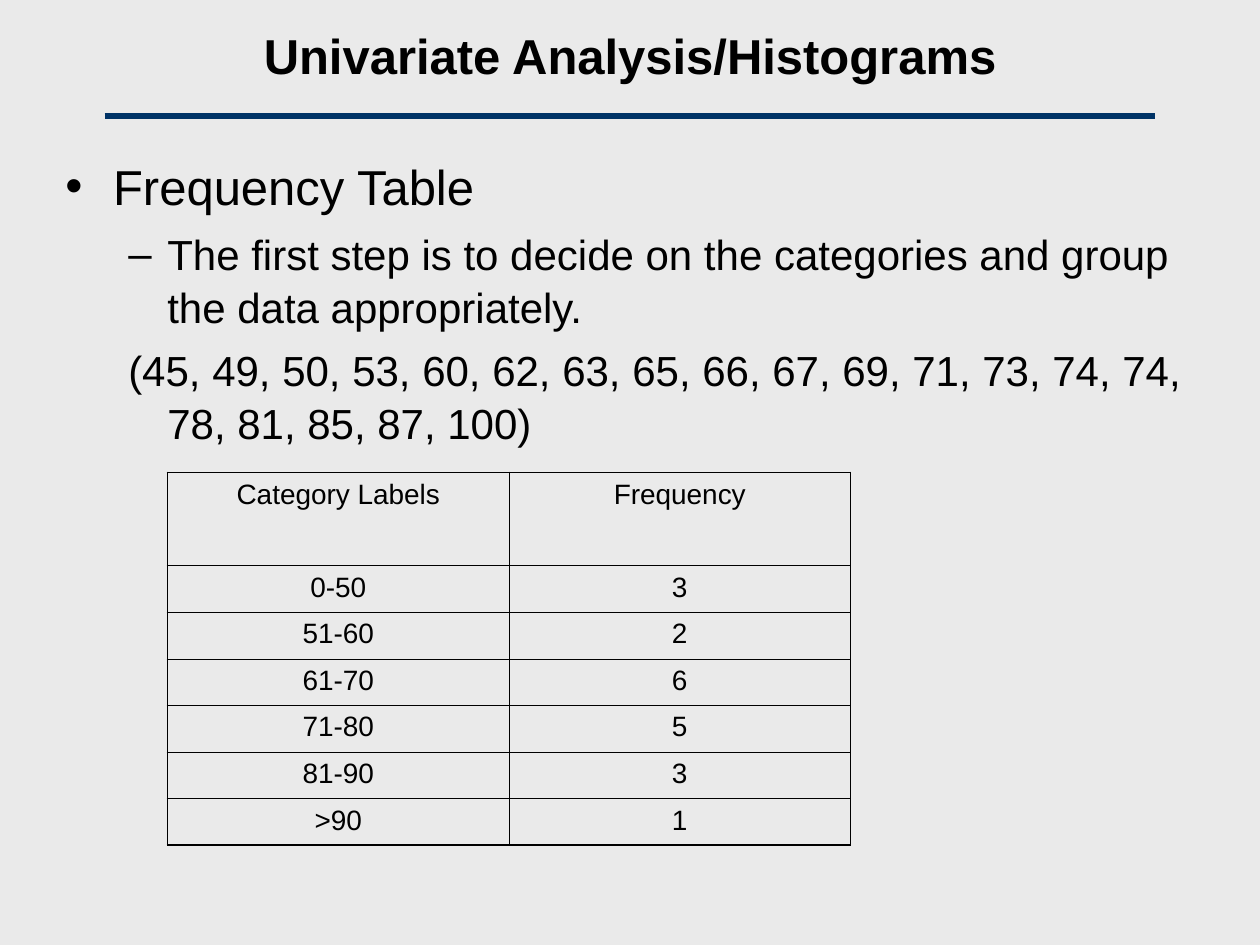
from lxml.etree import SubElement
from pptx import Presentation
from pptx.dml.color import RGBColor
from pptx.enum.shapes import MSO_CONNECTOR
from pptx.enum.text import MSO_ANCHOR, PP_ALIGN
from pptx.oxml import parse_xml
from pptx.oxml.ns import nsdecls, qn
from pptx.util import Inches, Pt

COLORS = {"background": "EAEAEA", "text": "000000", "rule": "003366", "border": "000000"}
FONT = "Arial"
TITLE_ONLY = 5
THICK, THIN = 1.08, 0.45

POINTS = [
    ("Frequency Table", 0, 28, 7, 0.38, -0.38, "•"),
    ("The first step is to decide on the categories and group the data appropriately.",
     1, 24, 6, 0.81, -0.31, "–"),
    ("(45, 49, 50, 53, 60, 62, 63, 65, 66, 67, 69, 71, 73, 74, 74, 78, 81, 85, 87, 100)",
     1, 24, 6, 0.81, -0.31, None),
]
FREQUENCIES = [
    ("Category Labels", "Frequency"),
    ("0-50", "3"),
    ("51-60", "2"),
    ("61-70", "6"),
    ("71-80", "5"),
    ("81-90", "3"),
    (">90", "1"),
]


def color(name):
    return RGBColor.from_string(COLORS[name])


def write(para, text, size, bold=False):
    para.text = text
    for span in para.runs:
        span.font.name = FONT
        span.font.size = Pt(size)
        span.font.bold = bold
        span.font.color.rgb = color("text")


def set_bullet(para, left, hanging, mark):
    properties = para._p.get_or_add_pPr()
    properties.set("marL", str(Inches(left)))
    properties.set("indent", str(Inches(hanging)))
    if mark:
        SubElement(properties, qn("a:buFont"), typeface=FONT)
        SubElement(properties, qn("a:buChar"), char=mark)
    else:
        SubElement(properties, qn("a:buNone"))


def add_title(page, text):
    title = page.shapes.title
    title.left, title.top = Inches(0.5), Inches(0)
    title.width, title.height = Inches(9), Inches(0.87)
    frame = title.text_frame
    frame.vertical_anchor = MSO_ANCHOR.MIDDLE
    para = frame.paragraphs[0]
    write(para, text, 28, bold=True)
    para.alignment = PP_ALIGN.CENTER


def add_rule(page):
    rule = page.shapes.add_connector(
        MSO_CONNECTOR.STRAIGHT, Inches(0.83), Inches(0.92), Inches(9.17), Inches(0.92))
    rule.line.color.rgb = color("rule")
    rule.line.width = Pt(3)
    SubElement(rule._element.spPr, qn("a:effectLst"))


def add_points(page, points):
    box = page.shapes.add_textbox(Inches(0.42), Inches(1.17), Inches(9.33), Inches(2.58))
    frame = box.text_frame
    frame.word_wrap = True
    for index, (text, level, size, before, left, hanging, mark) in enumerate(points):
        para = frame.add_paragraph() if index else frame.paragraphs[0]
        write(para, text, size)
        para.level = level
        para.line_spacing = 1.05
        para.space_before = Pt(before)
        set_bullet(para, left, hanging, mark)


def set_borders(cell, widths):
    properties = cell._tc.get_or_add_tcPr()
    for index, (side, width) in enumerate(widths.items()):
        properties.insert(index, parse_xml(
            f'<a:ln{side} {nsdecls("a")} w="{Pt(width)}"><a:solidFill>'
            f'<a:srgbClr val="{COLORS["border"]}"/></a:solidFill></a:ln{side}>'))


def add_frequency_table(page, rows):
    last_row, last_column = len(rows) - 1, len(rows[0]) - 1
    table = page.shapes.add_table(
        len(rows), len(rows[0]), Inches(1.33), Inches(3.75), Inches(5.42), Inches(2.96)).table
    table.first_row = False
    table.horz_banding = False
    for column in table.columns:
        column.width = Inches(2.71)
    for r, values in enumerate(rows):
        table.rows[r].height = Inches(0.37 if r else 0.74)
        for c, value in enumerate(values):
            cell = table.cell(r, c)
            cell.fill.background()
            para = cell.text_frame.paragraphs[0]
            write(para, value, 16)
            para.alignment = PP_ALIGN.CENTER
            para.space_before = Pt(4)
            set_borders(cell, {
                "L": THICK if c == 0 else THIN,
                "R": THICK if c == last_column else THIN,
                "T": THICK if r == 0 else THIN,
                "B": THICK if r == last_row else THIN,
            })


def main():
    deck = Presentation()
    deck.slide_width, deck.slide_height = Inches(10), Inches(7.5)
    page = deck.slides.add_slide(deck.slide_layouts[TITLE_ONLY])
    page.background.fill.solid()
    page.background.fill.fore_color.rgb = color("background")
    add_title(page, "Univariate Analysis/Histograms")
    add_points(page, POINTS)
    add_frequency_table(page, FREQUENCIES)
    add_rule(page)
    deck.save("out.pptx")


if __name__ == "__main__":
    main()
